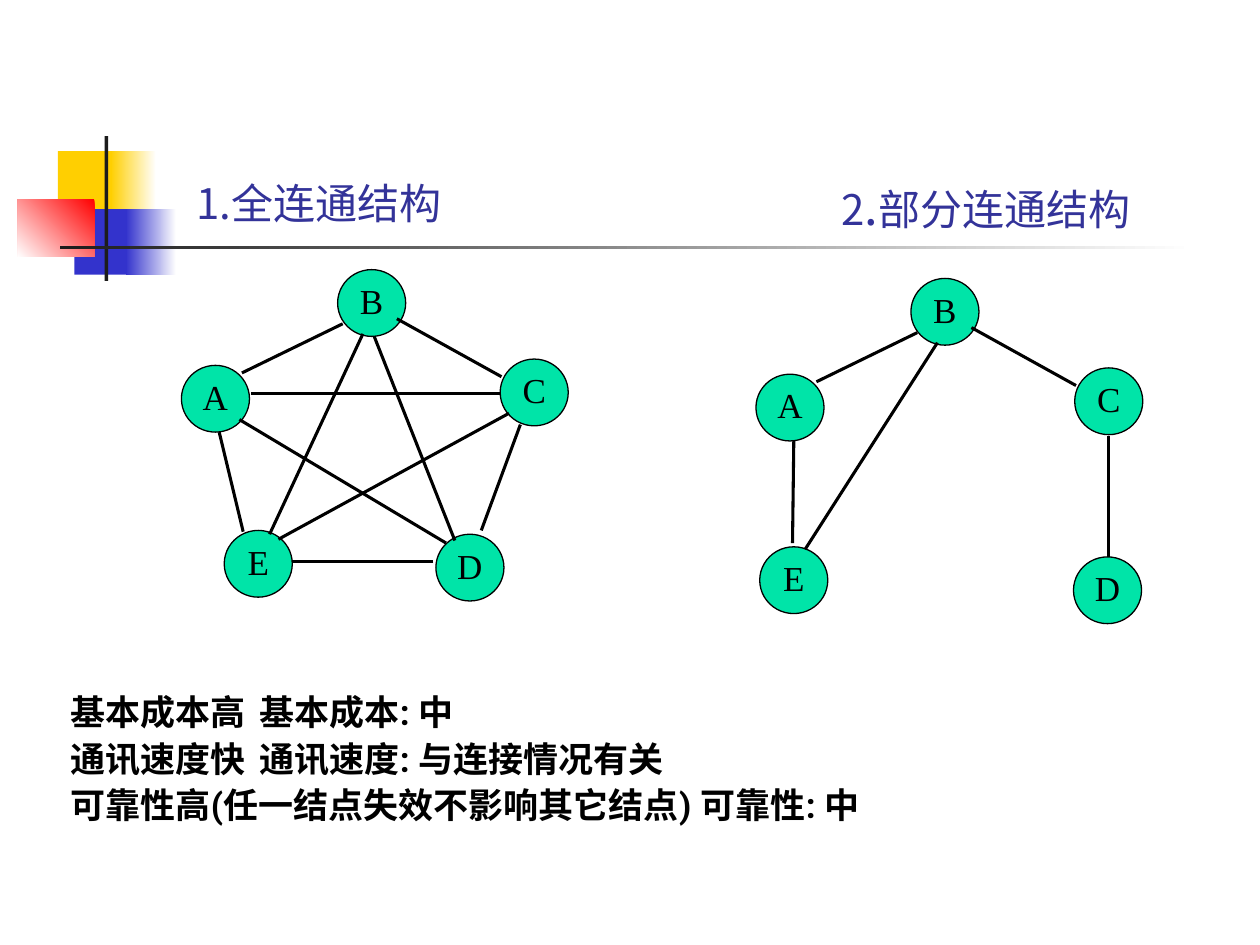
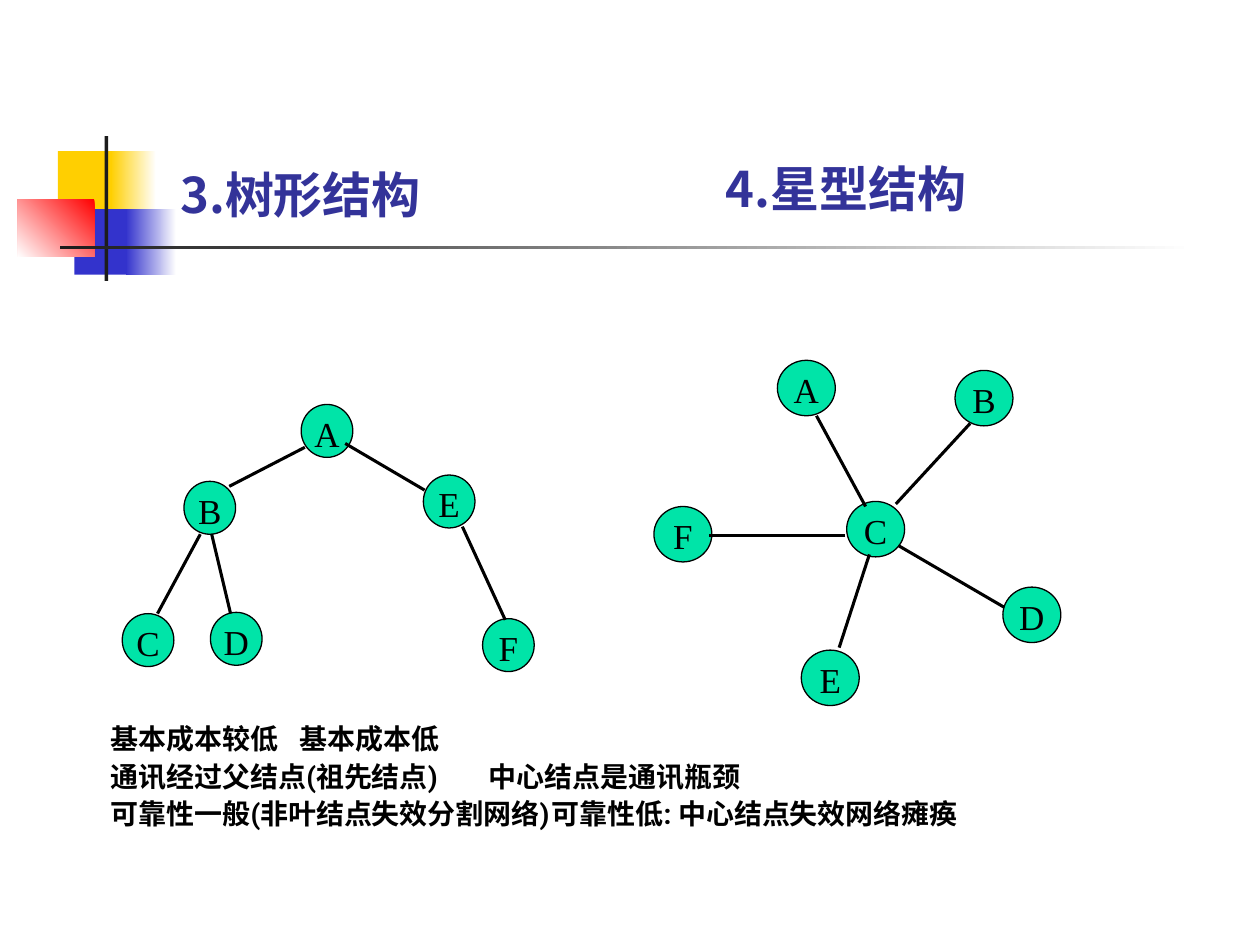
from dataclasses import dataclass

from lxml import etree
from pptx import Presentation
from pptx.dml.color import RGBColor
from pptx.enum.shapes import MSO_CONNECTOR, MSO_SHAPE
from pptx.enum.text import MSO_ANCHOR, MSO_AUTO_SIZE, PP_ALIGN
from pptx.oxml.ns import qn
from pptx.util import Inches, Pt

RECTANGLE, CIRCLE = MSO_SHAPE.RECTANGLE, MSO_SHAPE.OVAL
STRAIGHT = MSO_CONNECTOR.STRAIGHT
TOP, MIDDLE = MSO_ANCHOR.TOP, MSO_ANCHOR.MIDDLE
LEFT, CENTER = PP_ALIGN.LEFT, PP_ALIGN.CENTER
FIXED = MSO_AUTO_SIZE.NONE

# The page is a grid of 100 columns by 75 rows
WIDTH, HEIGHT = Inches(10), Inches(7.5)
COLUMN, ROW = WIDTH / 100, HEIGHT / 75


@dataclass(frozen=True)
class Theme:
    heading_color: str = "333399"
    text_color: str = "000000"
    node_color: str = "00E4A8"
    yellow: str = "FFCF01"
    blue: str = "3333CC"
    red: str = "FF0000"
    bar: str = "1C1C1C"
    white: str = "FFFFFF"
    heading_font: str = "Noto Sans CJK SC"
    body_font: str = "Roboto"
    node_font: str = "Times New Roman"
    heading_size: int = 24
    large_size: int = 28
    node_size: int = 20
    outline: float = 0.75
    link: float = 1.75


THEME = Theme()

# Shared decoration: place, fill colours (two make a gradient), angle
DECORATION = [
    ((4.6, 12, 4.8, 5.2), [THEME.yellow], 0),
    ((8.8, 12, 3.6, 5.2), [THEME.white, THEME.yellow], 180),
    ((5.9, 16.6, 4.6, 5.2), [THEME.blue], 0),
    ((10, 16.6, 4, 5.2), [THEME.white, THEME.blue], 180),
    ((1.4, 15.8, 6.1, 4.6), [THEME.red, THEME.white], 225),
    ((8.3, 10.8, 0.3, 11.5), [THEME.bar], 0),
    ((4.8, 19.5, 90, 0.3), [THEME.white, THEME.bar], 180),
]

# Networks: node size, top left corner of each node, ends of each link
FULL = {
    "size": (5.4, 5.3),
    "nodes": {"A": (14.4, 29), "E": (17.8, 42.1), "D": (34.6, 42.4),
              "C": (39.7, 28.5), "B": (26.8, 21.4)},
    "links": [(39.8, 31.2, 19.9, 31.2), (34.4, 44.6, 23.2, 44.6),
              (39.8, 29.9, 31.5, 25.3), (27.2, 25.7, 19.2, 29.6),
              (19.3, 42.2, 17.4, 34.3), (41.3, 33.7, 38.2, 42.1),
              (28.8, 26.5, 21.4, 42.4), (36.1, 42.9, 29.7, 26.7),
              (40.4, 32.8, 22.1, 42.8), (35.4, 43.1, 19, 33.3)],
}
PARTIAL = {
    "size": (5.4, 5.3),
    "nodes": {"A": (60, 29.7), "E": (60.3, 43.4), "D": (85.2, 44.2),
              "C": (85.3, 29.2), "B": (72.3, 22.1)},
    "links": [(85.4, 30.6, 77.1, 26), (72.8, 26.4, 64.8, 30.3),
              (62.9, 43.1, 63, 35), (88, 34.6, 88, 44.2),
              (74.4, 27.2, 63.9, 43.6)],
}
TREE = {
    "size": (4.1, 4.2),
    "nodes": {"B": (14.6, 38.2), "C": (9.7, 48.7), "F": (38.3, 49.1),
              "E": (33.6, 37.7), "A": (23.9, 32.1), "D": (16.7, 48.6)},
    "links": [(33.7, 38.9, 27.4, 35.2), (24.2, 35.5, 18.2, 38.6),
              (18.3, 48.7, 16.8, 42.4), (36.7, 41.8, 40.1, 49.2),
              (12.5, 48.7, 15.9, 42.4)],
}
STAR = {
    "size": (4.6, 4.4),
    "nodes": {"A": (61.7, 28.6), "E": (63.6, 51.6), "D": (79.6, 46.6),
              "C": (67.2, 39.8), "B": (75.8, 29.4), "F": (51.9, 40.2)},
    "links": [(67.1, 42.5, 56.3, 42.5), (69, 44, 66.6, 51.4),
              (64.8, 33, 68.7, 40.2), (71.3, 43.3, 79.7, 48.2),
              (71.1, 40, 77, 33.6)],
}


def grid(left, top, width, height):
    return (round(left * COLUMN), round(top * ROW),
            round(width * COLUMN), round(height * ROW))


def place(box, area):
    box.left, box.top, box.width, box.height = grid(*area)


def paint(shape, colors, angle=0):
    fill = shape.fill
    if len(colors) == 1:
        fill.solid()
        fill.fore_color.rgb = RGBColor.from_string(colors[0])
        return
    fill.gradient()
    fill.gradient_angle = angle
    for stop, color in zip(fill.gradient_stops, colors):
        stop.color.rgb = RGBColor.from_string(color)


def plain_paragraph(para, tab=None):
    """Remove the bullet and indent; add one tab stop, in columns."""
    properties = para._p.get_or_add_pPr()
    properties.set("marL", "0")
    properties.set("indent", "0")
    etree.SubElement(properties, qn("a:buNone"))
    if tab:
        stops = etree.SubElement(properties, qn("a:tabLst"))
        etree.SubElement(stops, qn("a:tab"), pos=str(round(tab * COLUMN)), algn="l")


def write(box, lines, *, font, size, color=THEME.text_color, bold=False,
          align=LEFT, anchor=TOP, wrap=False, inset=0.0, tabs=(),
          spacing=1.0, before=0):
    """Each line is a string or a list of (text, size) spans."""
    frame = box.text_frame
    frame.auto_size, frame.word_wrap, frame.vertical_anchor = FIXED, wrap, anchor
    frame.margin_left = frame.margin_right = Inches(inset)
    frame.margin_top = frame.margin_bottom = Inches(inset / 2)
    for index, line in enumerate(lines):
        para = frame.add_paragraph() if index else frame.paragraphs[0]
        plain_paragraph(para, tabs[index] if tabs else None)
        para.alignment, para.line_spacing = align, spacing
        para.space_before = Pt(before if index else 0)
        for text, points in [(line, size)] if isinstance(line, str) else line:
            span = para.add_run()
            span.text = text
            span.font.name, span.font.size, span.font.bold = font, Pt(points), bold
            span.font.color.rgb = RGBColor.from_string(color)
            etree.SubElement(span.font._element, qn("a:ea"), typeface=font)


def add_decoration(page):
    for area, colors, angle in DECORATION:
        block = page.shapes.add_shape(RECTANGLE, *grid(*area))
        block.shadow.inherit = False
        block.line.fill.background()
        paint(block, colors, angle)


def add_heading(box, text, area, **style):
    place(box, area)
    write(box, [text], font=THEME.heading_font, color=THEME.heading_color,
          align=CENTER, anchor=MIDDLE, **style)


def add_node(page, name, corner, size):
    node = page.shapes.add_shape(CIRCLE, *grid(*corner, *size))
    node.shadow.inherit = False
    paint(node, [THEME.node_color])
    node.line.color.rgb = RGBColor.from_string(THEME.text_color)
    node.line.width = Pt(THEME.outline)
    write(node, [name], font=THEME.node_font, size=THEME.node_size, align=CENTER)


def add_link(page, ends):
    start_x, start_y, end_x, end_y = grid(*ends)
    link = page.shapes.add_connector(STRAIGHT, start_x, start_y, end_x, end_y)
    link.line.color.rgb = RGBColor.from_string(THEME.text_color)
    link.line.width = Pt(THEME.link)
    etree.SubElement(link._element.spPr, qn("a:effectLst"))


def add_network(page, network):
    for name, corner in network["nodes"].items():
        add_node(page, name, corner, network["size"])
    for ends in network["links"]:
        add_link(page, ends)


def add_comparison(deck, headings, heading_style, networks, notes, notes_area,
                   notes_size, tabs):
    """One page: two headings, two networks and their notes side by side."""
    page = deck.slides.add_slide(deck.slide_layouts[1])
    add_decoration(page)
    boxes = [page.shapes.title, page.shapes.add_textbox(0, 0, 0, 0)]
    for box, (text, area) in zip(boxes, headings):
        add_heading(box, text, area, **heading_style)
    for network in networks:
        add_network(page, network)
    body = page.placeholders[1]
    place(body, notes_area)
    write(body, notes, font=THEME.body_font, size=notes_size, bold=True,
          wrap=True, inset=0.1, tabs=tabs, spacing=0.9, before=notes_size / 4)


def main():
    deck = Presentation()
    deck.slide_width, deck.slide_height = WIDTH, HEIGHT

    # Fully and partly connected networks
    partial_heading = [("2", THEME.heading_size), (".", THEME.large_size),
                       ("部分连通结构", THEME.heading_size)]
    add_comparison(
        deck,
        headings=[("1.全连通结构", (11.4, 13.6, 27.8, 5)),
                  (partial_heading, (62.8, 13.5, 30.9, 5.7))],
        heading_style={"size": THEME.heading_size},
        networks=[FULL, PARTIAL],
        notes=["基本成本高\t基本成本: 中",
               "通讯速度快\t通讯速度: 与连接情况有关",
               "可靠性高(任一结点失效不影响其它结点)\t可靠性: 中"],
        notes_area=(4.6, 54.7, 89.9, 12.4), notes_size=20,
        tabs=(44.8, 44.8, 55.4))

    # Tree and star networks
    add_comparison(
        deck,
        headings=[("3.树形结构", (10, 12.5, 27.7, 5.7)),
                  ("4.星型结构", (53.6, 12.1, 27.1, 5.7))],
        heading_style={"size": THEME.large_size, "bold": True},
        networks=[TREE, STAR],
        notes=["基本成本较低\t基本成本低",
               "通讯经过父结点(祖先结点)\t中心结点是通讯瓶颈",
               "可靠性一般(非叶结点失效分割网络)\t可靠性低: 中心结点失效网络瘫痪"],
        notes_area=(7.8, 57.1, 86.7, 10), notes_size=16,
        tabs=(37.4, 43.4, 45.2))

    deck.save("out.pptx")


if __name__ == "__main__":
    main()
